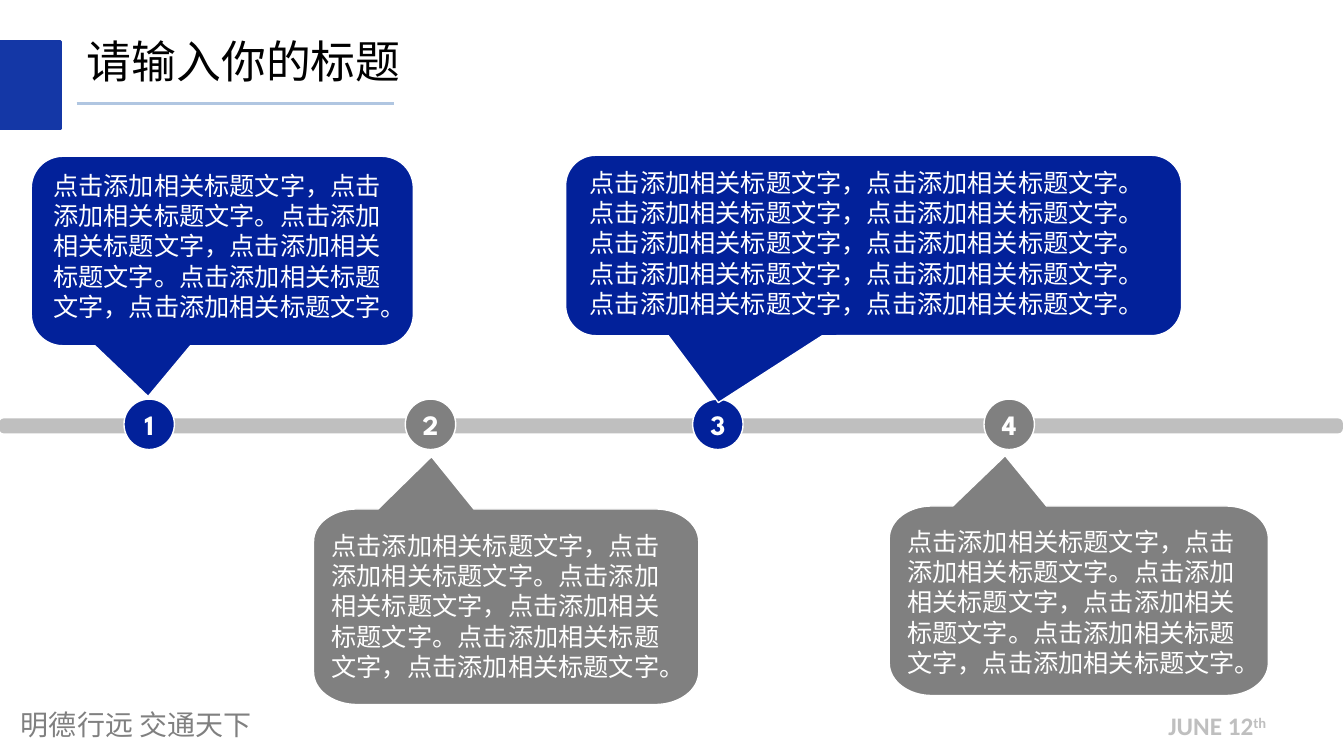
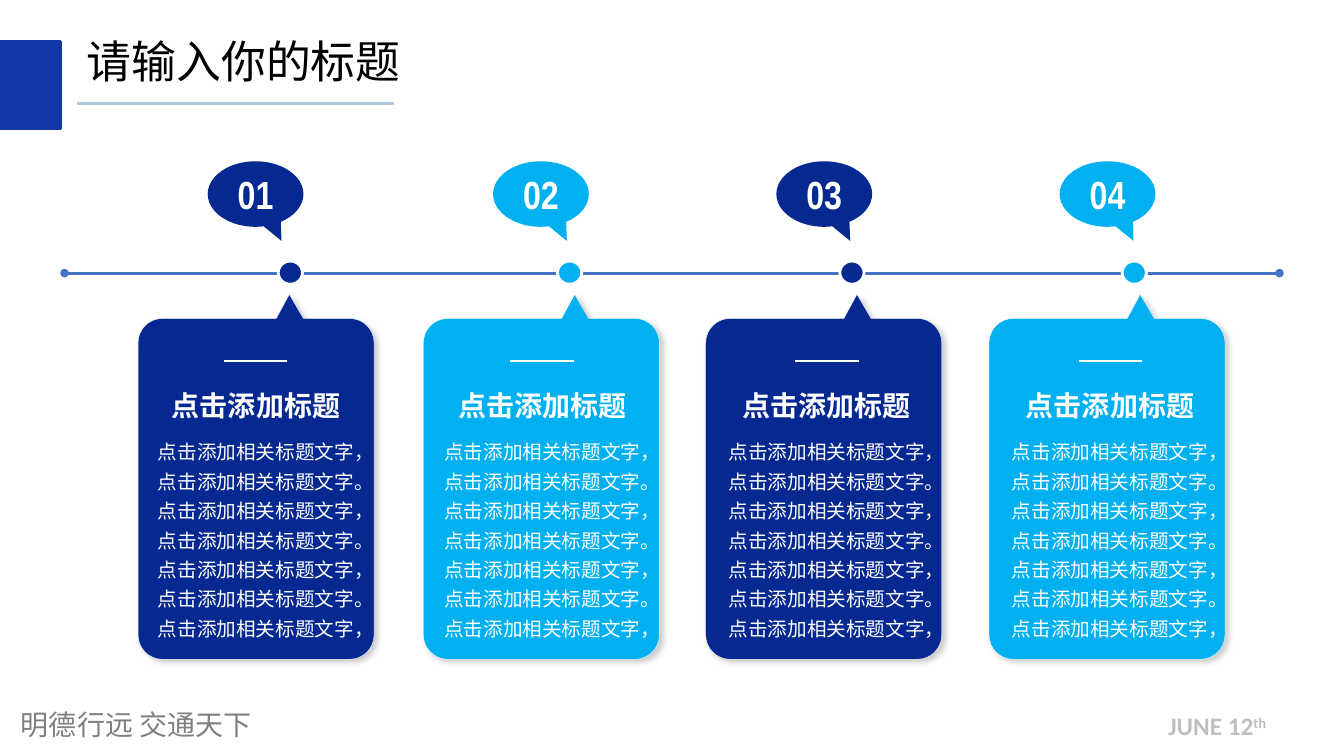
from lxml.etree import SubElement
from pptx import Presentation
from pptx.dml.color import RGBColor
from pptx.enum.shapes import MSO_CONNECTOR as Link, MSO_SHAPE as Kind
from pptx.enum.text import MSO_ANCHOR as Anchor, MSO_AUTO_SIZE as Fit, PP_ALIGN as Align
from pptx.oxml.ns import qn
from pptx.util import Pt

PX = 9144
SANS = "Noto Sans CJK SC"
WHITE, GREY, SILVER = "FFFFFF", "808080", "BFBFBF"
BLUE, NAVY, SKY = "02219A", "052891", "00B0F0"
hue = RGBColor.from_string


def draw(slide, kind, box, fill=None, edge=None, wide=1, adj=()):
    box = [n * PX for n in box]
    if kind == "text":
        return slide.shapes.add_textbox(*box)
    if kind == "line":
        shape = slide.shapes.add_connector(Link.STRAIGHT, *box)
    else:
        shape = slide.shapes.add_shape(kind, *box)
        shape.shadow.inherit = False
        shape.fill.solid()
        shape.fill.fore_color.rgb = hue(fill)
        for i, n in enumerate(adj):
            shape.adjustments[i] = n
    if edge:
        shape.line.color.rgb = hue(edge)
        shape.line.width = Pt(wide)
    else:
        shape.line.fill.background()
    if kind == "line":
        SubElement(shape._element.spPr, qn("a:effectLst"))
    return shape


def write(shape, lines, size, color=WHITE, font=SANS, bold=False, align=Align.LEFT,
          gap=1.0, inset=None, anchor=Anchor.TOP, wrap=True):
    frame = shape.text_frame
    frame.word_wrap = wrap
    frame.auto_size = Fit.NONE
    frame.vertical_anchor = anchor
    if inset is not None:
        frame.margin_left = frame.margin_right = inset * PX
        frame.margin_top = frame.margin_bottom = inset * PX
    for i, line in enumerate(lines):
        para = frame.add_paragraph() if i else frame.paragraphs[0]
        para.alignment = align
        para.line_spacing = gap
        for j, part in enumerate(line.split("^")):
            run = para.add_run()
            run.text = part
            run.font.size = Pt(size)
            run.font.bold = bold
            run.font.name = font
            run.font.color.rgb = hue(color)
            props = run.font._element
            SubElement(props, qn("a:ea")).set("typeface", font)
            if j:
                props.set("baseline", "30000")


deck = Presentation()
deck.slide_width = 1333 * PX
deck.slide_height = 750 * PX
slides = [deck.slides.add_slide(deck.slide_layouts[5]) for _ in range(2)]

for slide in slides:
    title = slide.shapes.title
    title.left, title.top, title.width, title.height = [n * PX for n in (76, 28, 334, 64)]
    write(title, ["请输入你的标题"], 32, "000000", wrap=False)
    draw(slide, Kind.RECTANGLE, (0, 41, 60, 87), "1437A6", "1437A6", 2)
    draw(slide, "line", (76, 103, 391, 103), edge="B0C6E1", wide=2.25)
    motto = draw(slide, "text", (11, 697, 394, 44))
    write(motto, ["明德行远 交通天下"], 20, GREY, "Noto Sans CJK JP")
    date = draw(slide, "text", (1149, 700, 120, 40))
    write(date, ["JUNE 12^th"], 18, SILVER, "Calibri", True, wrap=False)

steps, cards = slides
lefts = (137, 420, 700, 981)
balloons = [
    (steps, 311, 453, 382, 246, 52, (64, 117, 159), (43, 32), GREY, 1),
    (steps, 882, 452, 376, 238, 50, (63, 115, 156), (42, 32), GREY, 1),
]
for i, left in enumerate(lefts):
    balloons.append((cards, left, 292, 234, 362, 24, (137, 150, 164), (24, 24),
                     SKY if i % 2 else NAVY, 0.25))

for slide, left, top, w, h, neck, (near, tip, far), (rx, ry), fill, wide in balloons:
    cx, cy = rx * 0.45, ry * 0.45
    outline = [
        (tip, 0), (far, neck),
        (w - rx, neck), (w - cx, neck), (w, neck + cy), (w, neck + ry),
        (w, h - ry), (w, h - cy), (w - cx, h), (w - rx, h),
        (rx, h), (cx, h), (0, h - cy), (0, h - ry),
        (0, neck + ry), (0, neck + cy), (cx, neck), (rx, neck),
        (near, neck),
    ]
    points = [((left + x) * PX, (top + y) * PX) for x, y in outline]
    pen = slide.shapes.build_freeform(*points[0])
    pen.add_line_segments(points[1:])
    shape = pen.convert_to_shape()
    sides = list(shape._element.iter(qn("a:lnTo")))
    for k in range(2, 15, 4):
        bend = sides[k]
        for side in sides[k + 1:k + 3]:
            bend.append(side[0])
            side.getparent().remove(side)
        bend.tag = qn("a:cubicBezTo")
    shape.shadow.inherit = False
    shape.fill.solid()
    shape.fill.fore_color.rgb = hue(fill)
    shape.line.color.rgb = hue(WHITE)
    shape.line.width = Pt(wide)
    if slide is cards:
        glow = shape._element.spPr.find(qn("a:effectLst"))
        shade = SubElement(glow, qn("a:outerShdw"), blurRad="50800", dist="38100",
                           dir="2700000", algn="tl", rotWithShape="0")
        black = SubElement(shade, qn("a:srgbClr"), val="000000")
        SubElement(black, qn("a:alpha"), val="20000")

pair = "点击添加相关标题文字，点击添加相关标题文字。"

draw(steps, Kind.ROUNDED_RECTANGLE, (-1, 415, 1333, 15), SILVER, adj=[0.345])
for i, left in enumerate((123, 402, 687, 976)):
    dot = draw(steps, Kind.OVAL, (left, 396, 50, 50), GREY if i % 2 else BLUE, WHITE)
    write(dot, [str(i + 1)], 20, font="League Spartan", bold=True,
          align=Align.CENTER, inset=0, anchor=Anchor.MIDDLE)

for box, tip in (((31, 155, 379, 188), (-0.194, 0.768)),
                 ((561, 154, 611, 179), (-0.252, 0.871))):
    draw(steps, Kind.ROUNDED_RECTANGULAR_CALLOUT, box, BLUE, WHITE, adj=(*tip, 0.167))

for area, lines in (((43, 164, 362, 162), [pair * 3]),
                    ((319, 521, 365, 185), [pair * 3]),
                    ((575, 161, 584, 162), [pair * 4, pair]),
                    ((890, 517, 359, 188), [pair * 3])):
    write(draw(steps, "text", area), lines, 18)

axis = draw(cards, "line", (64, 271, 1269, 271), edge="4472C4", wide=2)
for end in ("a:headEnd", "a:tailEnd"):
    SubElement(axis.line._ln, qn(end)).set("type", "oval")

places = zip((206, 489, 770, 1051), (145, 429, 711, 992),
             (276, 553, 833, 1113), (222, 506, 789, 1070))
for i, (left, inner, spot, rule) in enumerate(places):
    fill = SKY if i % 2 else NAVY
    draw(cards, Kind.OVAL, (spot, 259, 24, 23), fill, WHITE, 2)
    bubble = draw(cards, Kind.OVAL_CALLOUT, (left, 160, 95, 65), fill, adj=(0.271, 0.716))
    write(bubble, [f"{i + 1:02}"], 28, font="Arial Narrow", bold=True,
          align=Align.CENTER, inset=0, anchor=Anchor.MIDDLE)
    head = draw(cards, "text", (inner + 12, 374, 194, 43))
    write(head, ["点击添加标题"], 20, bold=True, align=Align.CENTER, gap=1.2, wrap=False)
    note = draw(cards, "text", (inner, 426, 218, 214))
    write(note, [pair * 2, pair, "点击添加相关标题文字，"], 14, align=Align.CENTER, gap=1.25)
    draw(cards, "line", (rule, 358, rule + 63, 358), edge=WHITE)

deck.save("out.pptx")
